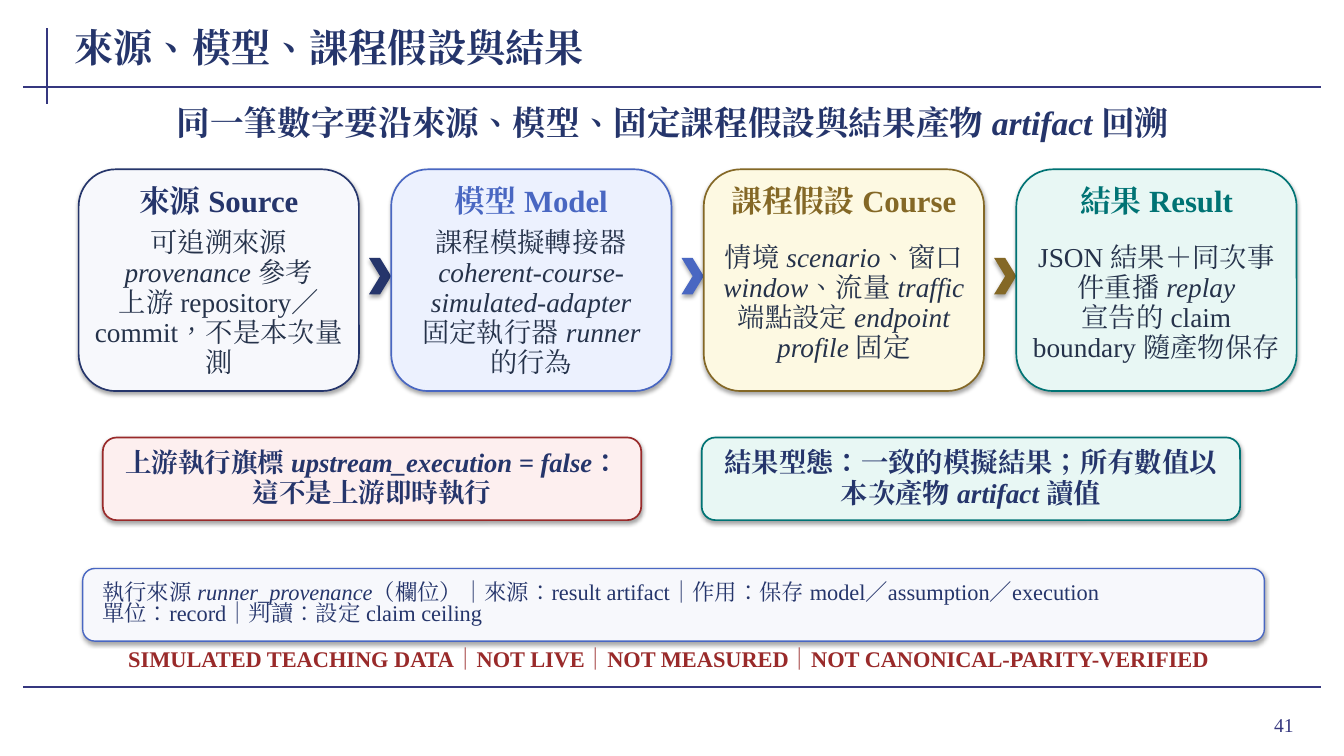
"""Build the slide that traces a number from source to result."""
from lxml.etree import SubElement
from pptx import Presentation
from pptx.dml.color import RGBColor
from pptx.enum.shapes import MSO_CONNECTOR, MSO_SHAPE
from pptx.enum.text import MSO_ANCHOR, MSO_AUTO_SIZE, PP_ALIGN
from pptx.oxml.ns import qn
from pptx.util import Inches, Pt

COLORS = {
    "rule": "35377F", "navy": "25356B", "ink": "25324A", "blue": "4967C2",
    "gold": "846826", "teal": "007374", "red": "992A2A", "shadow": "000000",
    "pale": "F7F8FC", "pale_blue": "ECF1FE", "pale_gold": "FDF9E2",
    "pale_teal": "E8F7F4", "pale_red": "FDEFEF",
}
ALIGN = {"l": PP_ALIGN.LEFT, "c": PP_ALIGN.CENTER, "r": PP_ALIGN.RIGHT}
TIGHT = (0.02, 0.01)

CARDS = [
    ("來源 Source", "navy", "pale",
     ["可追溯來源 *provenance* 參考", "上游 repository／commit，不是本次量測"]),
    ("模型 Model", "blue", "pale_blue",
     ["課程模擬轉接器 *coherent-course-simulated-adapter*",
      "固定執行器 *runner* 的行為"]),
    ("課程假設 Course", "gold", "pale_gold",
     ["情境 *scenario*、窗口 *window*、流量 *traffic*",
      "端點設定 *endpoint profile* 固定"]),
    ("結果 Result", "teal", "pale_teal",
     ["JSON 結果＋同次事件重播 *replay*",
      "宣告的 claim boundary 隨產物保存"]),
]
BANNERS = [
    ("上游執行旗標 *upstream_execution = false*：這不是上游即時執行",
     "red", "pale_red", 19),
    ("結果型態：一致的模擬結果；所有數值以本次產物 *artifact* 讀值",
     "teal", "pale_teal", 19.5),
]
RECORD = [
    "執行來源 *runner_provenance*（欄位）｜來源：result artifact｜"
    "作用：保存 model／assumption／execution",
    "單位：record｜判讀：設定 claim ceiling",
]


class Deck:
    """Hold the font, the colours and the current slide."""

    font = "Times New Roman"

    def __init__(self, prs):
        self.s = prs.slides.add_slide(prs.slide_layouts[5])

    def rgb(self, name):
        """Return the named colour."""
        return RGBColor.from_string(COLORS[name])

    def set_text(self, sp, lines, size, color, bold=False, align="c",
                 inset=TIGHT, spacing=None):
        """Fill a shape with paragraphs, with *marked* parts in italics."""
        tf = sp.text_frame
        tf.word_wrap = True
        tf.vertical_anchor = MSO_ANCHOR.MIDDLE
        tf.margin_left = tf.margin_right = Inches(inset[0])
        tf.margin_top = tf.margin_bottom = Inches(inset[1])
        for i, line in enumerate(lines):
            p = tf.add_paragraph() if i else tf.paragraphs[0]
            p.alignment = ALIGN[align]
            if spacing:
                p.line_spacing = spacing
            for j, part in enumerate(line.split("*")):
                if part:
                    r = p.add_run()
                    r.text = part
                    self.style(r, size, color, bold, j % 2 == 1)

    def style(self, r, size, color, bold, italic):
        """Format one run for Latin and Chinese text."""
        r.font.size = Pt(size)
        r.font.bold = bold
        r.font.italic = italic
        r.font.color.rgb = self.rgb(color)
        r.font.name = self.font
        rPr = r._r.get_or_add_rPr()
        rPr.set("lang", "zh-TW")
        SubElement(rPr, qn("a:ea"), typeface=self.font)

    def title(self, text, x, y, w, h):
        """Place and format the title."""
        sp = self.s.shapes.title
        sp.left, sp.top, sp.width, sp.height = map(Inches, (x, y, w, h))
        self.set_text(sp, [text], 28, "navy", True, "l", (0.02, 0))
        sp.text_frame.auto_size = MSO_AUTO_SIZE.NONE

    def text(self, x, y, w, h, lines, size, color, grow=True, **kw):
        """Add a text box."""
        sp = self.s.shapes.add_textbox(*map(Inches, (x, y, w, h)))
        self.set_text(sp, lines, size, color, **kw)
        if grow:
            sp.text_frame.auto_size = MSO_AUTO_SIZE.SHAPE_TO_FIT_TEXT

    def shape(self, kind, x, y, w, h, fill, line=None, weight=1.2):
        """Add a filled shape with a soft shadow."""
        sp = self.s.shapes.add_shape(kind, *map(Inches, (x, y, w, h)))
        sp.fill.solid()
        sp.fill.fore_color.rgb = self.rgb(fill)
        if line:
            sp.line.color.rgb = self.rgb(line)
            sp.line.width = Pt(weight)
        else:
            sp.line.fill.background()
        sp.shadow.inherit = False
        effects = sp._element.spPr.find(qn("a:effectLst"))
        shadow = SubElement(effects, qn("a:outerShdw"), blurRad=str(Pt(3.1)),
                            dist=str(Pt(1.8)), dir="5400000", rotWithShape="0")
        clr = SubElement(shadow, qn("a:srgbClr"), val=COLORS["shadow"])
        SubElement(clr, qn("a:alpha"), val="35000")
        return sp

    def box(self, x, y, w, h, fill, line, weight=1.2):
        """Add a rounded box."""
        return self.shape(MSO_SHAPE.ROUNDED_RECTANGLE, x, y, w, h,
                          fill, line, weight)

    def rule(self, x1, y1, x2, y2):
        """Add a frame line."""
        c = self.s.shapes.add_connector(MSO_CONNECTOR.STRAIGHT,
                                        *map(Inches, (x1, y1, x2, y2)))
        c.line.color.rgb = self.rgb("rule")
        c.line.width = Pt(1.5)
        SubElement(c._element.spPr, qn("a:effectLst"))

    def card(self, x, head, color, fill, body):
        """Add one stage of the chain."""
        self.box(x, 1.68, 2.78, 2.2, fill, color)
        self.text(x + 0.1, 1.8, 2.58, 0.38, [head], 22, color, bold=True)
        self.text(x + 0.14, 2.26, 2.5, 1.5, body, 19.5, "ink", spacing=0.92)


def main():
    """Build and save the slide."""
    prs = Presentation()
    prs.slide_width, prs.slide_height = Inches(13.33), Inches(7.5)
    deck = Deck(prs)
    deck.rule(0.47, 0.28, 0.47, 1.03)
    for y in (0.86, 6.82):
        deck.rule(0.23, y, 13.1, y)
    deck.text(11.96, 6.93, 0.97, 0.52, ["41"], 14, "rule", grow=False,
              align="r", inset=(0.1, 0.05))
    deck.title("來源、模型、課程假設與結果", 0.72, 0.2, 10.35, 0.53)
    deck.text(0.98, 1, 11.38, 0.42,
              ["同一筆數字要沿來源、模型、固定課程假設與結果產物 *artifact* 回溯"],
              24, "navy", bold=True)
    for i, (head, color, fill, body) in enumerate(CARDS):
        x = 0.78 + 3.1 * i
        deck.card(x, head, color, fill, body)
        if i < len(CARDS) - 1:
            deck.shape(MSO_SHAPE.CHEVRON, x + 2.88, 2.56, 0.22, 0.36, color)
    for i, (line, color, fill, size) in enumerate(BANNERS):
        sp = deck.box(1.02 + 5.94 * i, 4.34, 5.34, 0.82, fill, color)
        deck.set_text(sp, [line], size, "navy", True, inset=(0.1, 0.04),
                      spacing=0.94)
    sp = deck.box(0.82, 5.64, 11.72, 0.72, "pale", "blue", 1)
    deck.set_text(sp, RECORD, 16, "navy", align="l", inset=(0.16, 0.02),
                  spacing=0.78)
    deck.text(0.92, 6.4, 11.42, 0.26,
              ["SIMULATED TEACHING DATA｜NOT LIVE｜NOT MEASURED｜"
               "NOT CANONICAL-PARITY-VERIFIED"],
              16, "red", bold=True, inset=(0, 0))
    prs.save("out.pptx")


if __name__ == "__main__":
    main()
